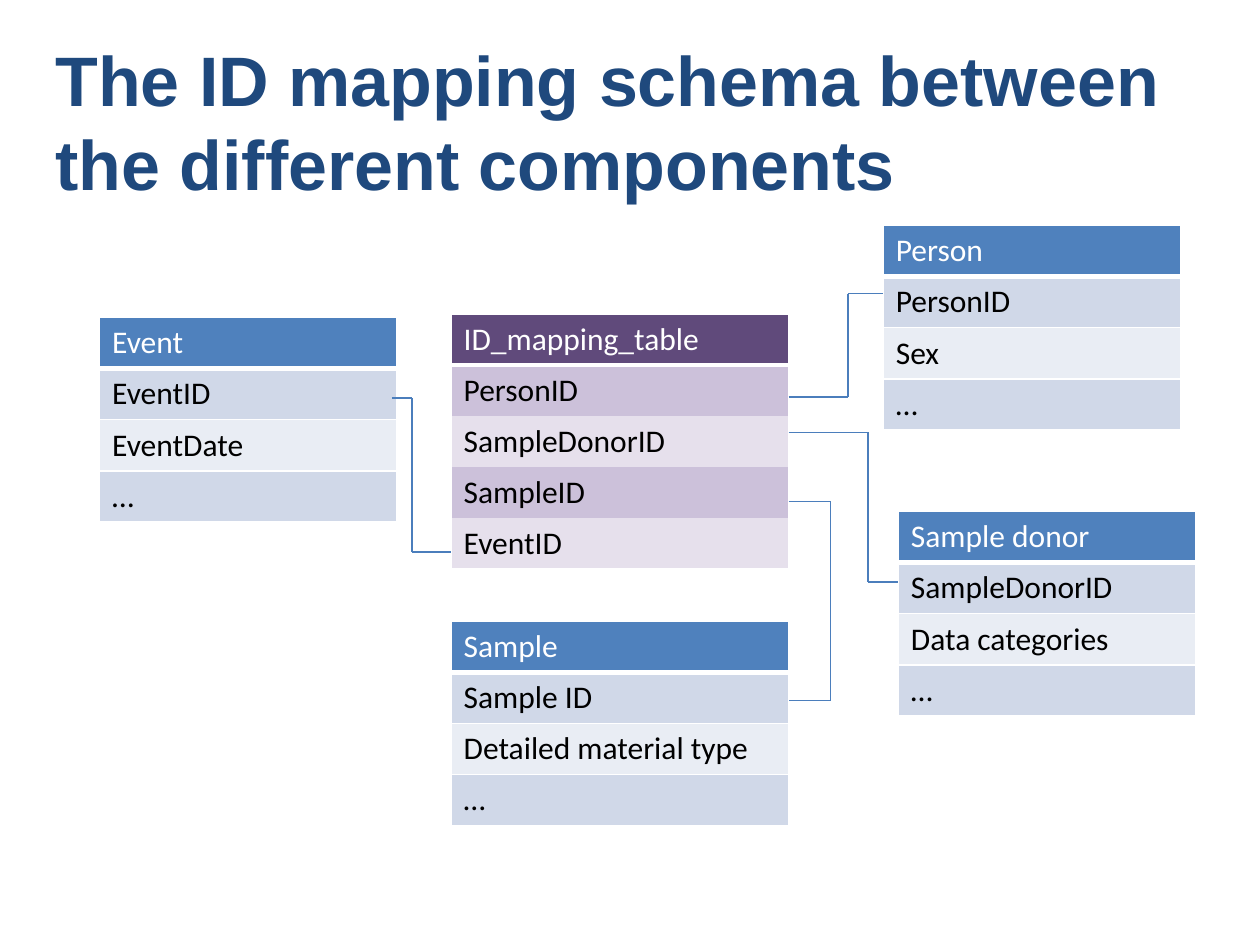
from itertools import pairwise
from lxml.etree import SubElement
from pptx import Presentation
from pptx.dml.color import RGBColor
from pptx.enum.shapes import MSO_CONNECTOR
from pptx.enum.text import MSO_ANCHOR, MSO_AUTO_SIZE, PP_ALIGN
from pptx.oxml.ns import qn
from pptx.util import Inches, Pt

# Content
TITLE = "The ID mapping schema between the different components"
HUES = {"title": "1F497D", "line": "4B7EBC", "white": "FFFFFF", "black": "000000"}
# Header fill, then the two alternating row fills
BLUE = ("4F81BD", "D0D8E8", "E9EDF4")
PURPLE = ("604A7B", "CCC1DA", "E6E0EC")
# Left, top, width, fills, inner rules, rows
TABLES = [
    (3.58, 2.49, 2.68, PURPLE, False,
     ["ID_mapping_table", "PersonID", "SampleDonorID", "SampleID", "EventID"]),
    (7.01, 1.79, 2.36, BLUE, True, ["Person", "PersonID", "Sex", "…"]),
    (3.58, 4.93, 2.68, BLUE, True,
     ["Sample", "Sample ID", "Detailed material type", "…"]),
    (7.13, 4.06, 2.36, BLUE, True,
     ["Sample donor", "SampleDonorID", "Data categories", "…"]),
    (0.79, 2.52, 2.36, BLUE, True, ["Event", "EventID", "EventDate", "…"]),
]
# Start point, x of the upright part, end point
LINKS = [
    ((6.26, 3.43), 6.89, (7.13, 4.62)),  # SampleDonorID
    ((6.26, 3.98), 6.59, (6.26, 5.56)),  # SampleID
    ((3.11, 3.16), 3.27, (3.58, 4.38)),  # EventID
    ((6.26, 3.15), 6.73, (7.01, 2.33)),  # PersonID
]
ROW = 0.405


def write(frame, text, size=18, font="Calibri", hue="black", bold=False):
    para = frame.paragraphs[0]
    para.alignment = PP_ALIGN.LEFT
    run = para.add_run()
    run.text = text
    run.font.size = Pt(size)
    run.font.name = font
    run.font.bold = bold
    run.font.color.rgb = RGBColor.from_string(HUES[hue])


def edge(cell, side, width):
    """Draw one white cell border, or none when width is 0."""
    line = SubElement(cell._tc.get_or_add_tcPr(), qn(f"a:ln{side}"), w=str(Pt(width)))
    if width:
        fill = SubElement(line, qn("a:solidFill"))
        SubElement(fill, qn("a:srgbClr"), val=HUES["white"])
    else:
        SubElement(line, qn("a:noFill"))


def grid(slide, left, top, width, fills, ruled, rows):
    last = len(rows) - 1
    table = slide.shapes.add_table(
        len(rows), 1, Inches(left), Inches(top), Inches(width),
        Inches(ROW * len(rows))).table
    inner = 1 if ruled else 0
    for i, text in enumerate(rows):
        table.rows[i].height = Inches(ROW)
        cell = table.cell(i, 0)
        above = {0: 1, 1: 3}.get(i, inner)
        below = 3 if i == 0 else 1 if i == last else inner
        for side, wide in (("L", 1), ("R", 1), ("T", above), ("B", below)):
            edge(cell, side, wide)
        tone = fills[0] if i == 0 else fills[1 + (i - 1) % 2]
        cell.fill.solid()
        cell.fill.fore_color.rgb = RGBColor.from_string(tone)
        write(cell.text_frame, text, hue="black" if i else "white")


def link(slide, start, mid, end):
    points = [start, (mid, start[1]), (mid, end[1]), end]
    for a, b in pairwise(points):
        line = slide.shapes.add_connector(
            MSO_CONNECTOR.STRAIGHT, *(Inches(v) for v in a + b))
        line.line.width = Pt(0.75)
        line.line.color.rgb = RGBColor.from_string(HUES["line"])
        SubElement(line._element.spPr, qn("a:effectLst"))


deck = Presentation()
deck.slide_width, deck.slide_height = Inches(10), Inches(7.5)
slide = deck.slides.add_slide(deck.slide_layouts[5])

# Title
head = slide.shapes.title
head.left, head.top = Inches(0.34), Inches(0.21)
head.width, head.height = Inches(9.32), Inches(1.5)
frame = head.text_frame
frame.word_wrap = True
frame.auto_size = MSO_AUTO_SIZE.NONE
frame.vertical_anchor = MSO_ANCHOR.MIDDLE
frame.margin_left = frame.margin_right = Inches(0.1)
frame.margin_top = frame.margin_bottom = Inches(0.1)
write(frame, TITLE, size=40, font="Arial", hue="title", bold=True)

# Tables, then the links between their ID rows
for item in TABLES:
    grid(slide, *item)
for item in LINKS:
    link(slide, *item)

deck.save("out.pptx")
